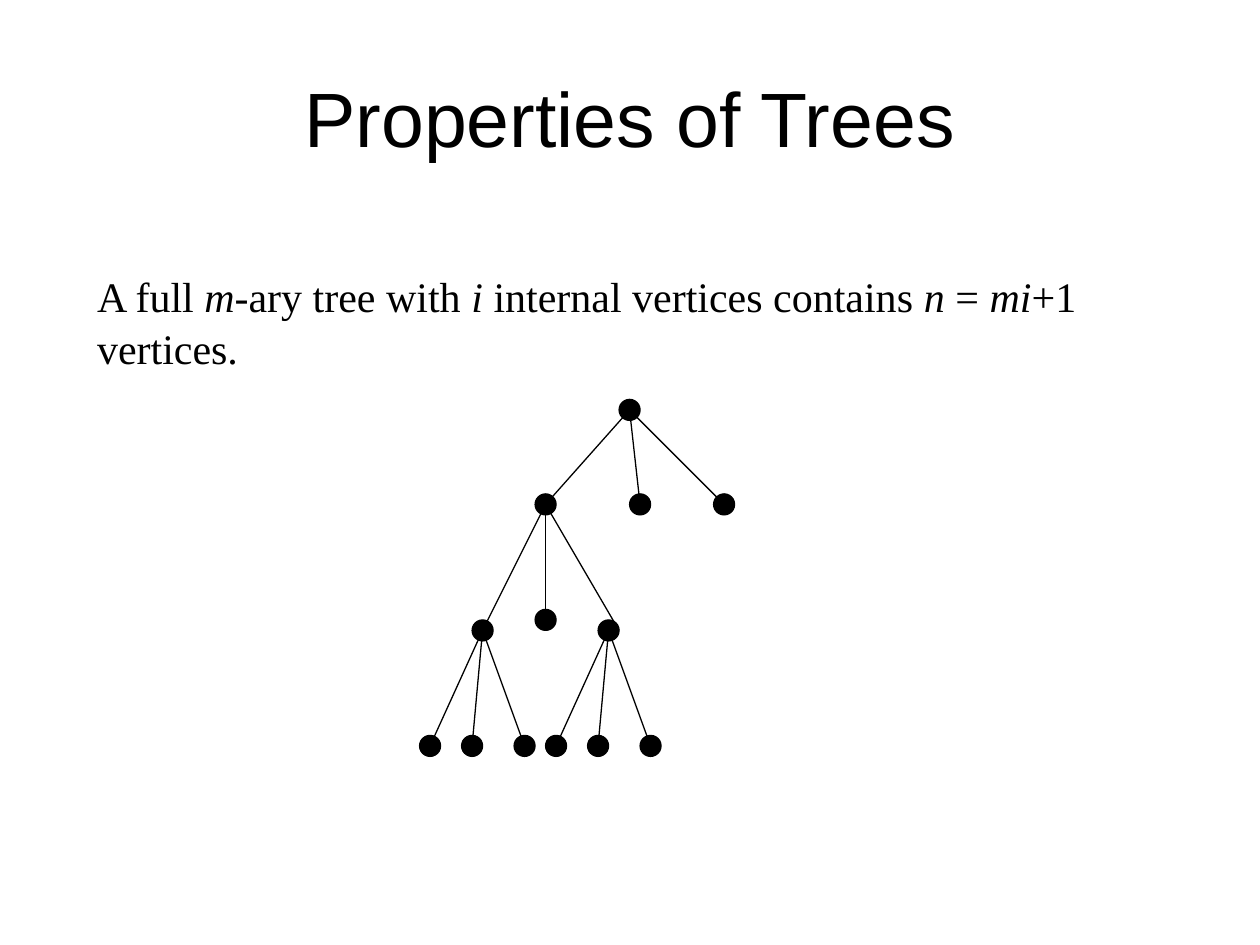
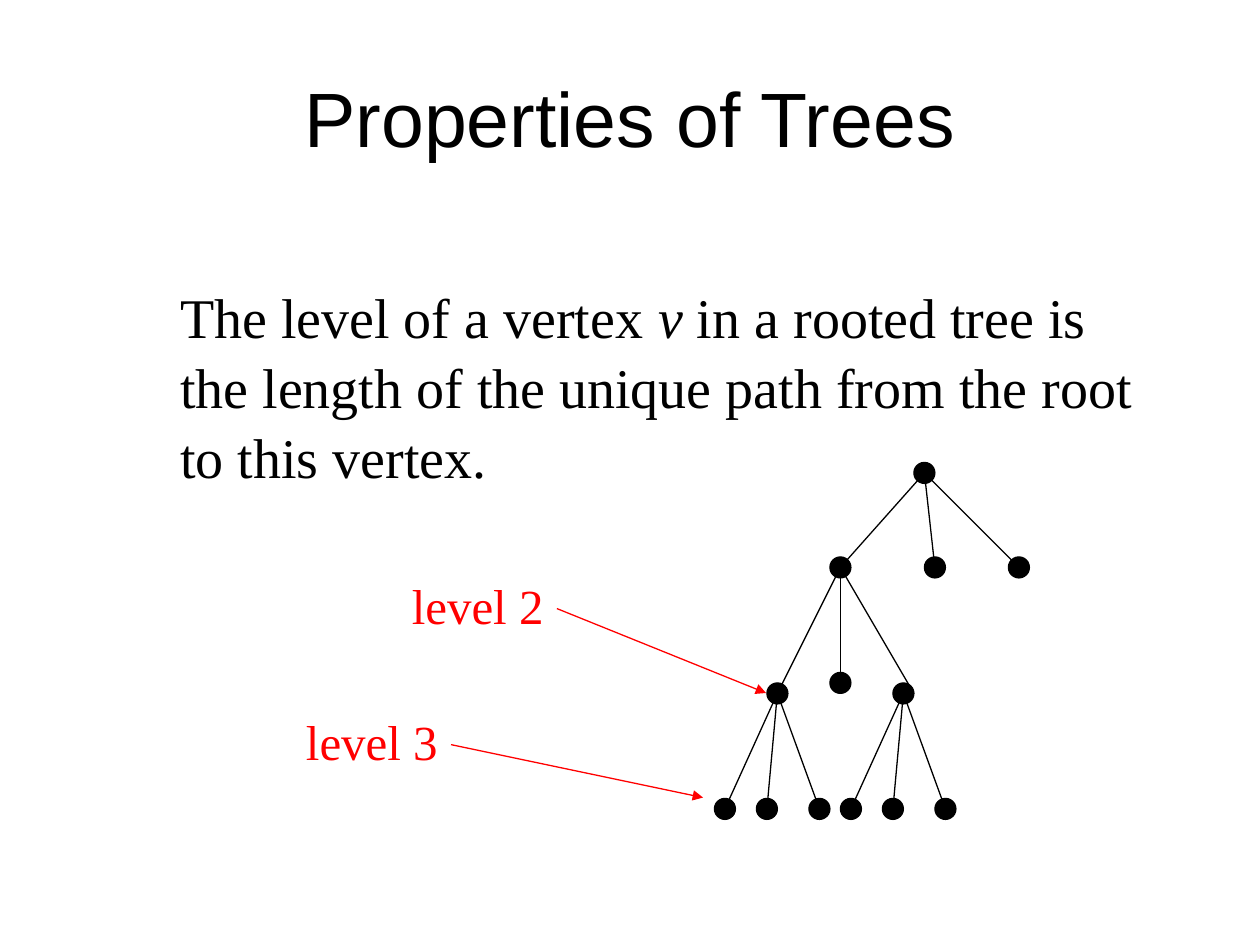
from pptx import Presentation
from pptx.dml.color import RGBColor
from pptx.enum import shapes, text
from pptx.oxml import ns, xmlchemy
from pptx.util import Inches, Pt

BLACK, RED = "000000", "FF0000"
TITLE_FONT, TEXT_FONT = "Arial", "Times New Roman"
TITLE = "Properties of Trees"
TITLE_BOX = (0.5, 0.3, 9, 1.25)

# The tree lies on a grid of twelfths of an inch: (column, row) of each vertex
UNIT = 1 / 12
VERTICES = {
    "root": (20, 1),
    "inner": (12, 10), "leaf b": (21, 10), "leaf c": (29, 10),
    "left": (6, 22), "leaf e": (12, 21), "right": (18, 22),
    "left 1": (1, 33), "left 2": (5, 33), "left 3": (10, 33),
    "right 1": (13, 33), "right 2": (17, 33), "right 3": (22, 33),
}
CHILDREN = {
    "root": ("inner", "leaf b", "leaf c"),
    "inner": ("left", "leaf e", "right"),
    "left": ("left 1", "left 2", "left 3"),
    "right": ("right 1", "right 2", "right 3"),
}
# This edge meets its vertex one column right of the centre
EDGE_SHIFT = {"right": 1}


def colour(hex_code):
    return RGBColor.from_string(hex_code)


def place(shape, box):
    shape.left, shape.top, shape.width, shape.height = map(Inches, box)


def write(shape, spans, size, font=TEXT_FONT, ink=BLACK, spacing=1.04,
          align=text.PP_ALIGN.LEFT, anchor=text.MSO_ANCHOR.TOP):
    """Fill a shape with one paragraph of (words, italic) spans."""
    frame = shape.text_frame
    frame.word_wrap = True
    frame.auto_size = text.MSO_AUTO_SIZE.NONE
    frame.vertical_anchor = anchor
    para = frame.paragraphs[0]
    para.alignment = align
    para.space_before = Pt(0)
    para.line_spacing = spacing
    for words, italic in spans:
        span = para.add_run()
        span.text = words
        span.font.name = font
        span.font.size = Pt(size)
        span.font.italic = italic
        span.font.color.rgb = colour(ink)
    return para


def add_line(parent, start, end, ink=BLACK, arrow=False):
    line = parent.add_connector(shapes.MSO_CONNECTOR.STRAIGHT,
                                *map(Inches, (*start, *end)))
    line.line.color.rgb = colour(ink)
    line.line.width = Pt(0.75)
    properties = line._element.spPr
    if arrow:
        head = xmlchemy.OxmlElement("a:tailEnd")
        head.set("type", "triangle")
        properties.find(ns.qn("a:ln")).append(head)
    properties.append(xmlchemy.OxmlElement("a:effectLst"))


def add_page(deck, spans, size, box):
    """Slide with the shared title and one unbulleted statement."""
    page = deck.slides.add_slide(deck.slide_layouts[1])
    place(page.shapes.title, TITLE_BOX)
    write(page.shapes.title, [(TITLE, False)], 44, TITLE_FONT, spacing=1,
          align=text.PP_ALIGN.CENTER, anchor=text.MSO_ANCHOR.MIDDLE)
    body = page.placeholders[1]
    place(body, box)
    para = write(body, spans, size)
    properties = para._p.get_or_add_pPr()
    properties.set("marL", "0")
    properties.set("indent", "0")
    properties.append(xmlchemy.OxmlElement("a:buNone"))
    return page


def add_tree(page, left, top):
    """Ternary tree whose grid starts at the given corner."""
    tree = page.shapes.add_group_shape().shapes

    def point(column, row):
        return left + column * UNIT, top + row * UNIT

    # Edges
    for parent, children in CHILDREN.items():
        for child in children:
            column, row = VERTICES[child]
            add_line(tree, point(*VERTICES[parent]),
                     point(column + EDGE_SHIFT.get(child, 0), row))
    # Vertices
    for column, row in VERTICES.values():
        corner = point(column - 1, row - 1)
        vertex = tree.add_shape(shapes.MSO_SHAPE.OVAL,
                                *map(Inches, (*corner, 2 * UNIT, 2 * UNIT)))
        vertex.shadow.inherit = False
        vertex.fill.solid()
        vertex.fill.fore_color.rgb = colour(BLACK)
        vertex.line.color.rgb = colour(BLACK)
        vertex.line.width = Pt(0.75)


def add_level(page, words, box, target):
    """Red label with an arrow to its level of the tree."""
    label = page.shapes.add_textbox(*map(Inches, box))
    write(label, [(words, False)], 28, ink=RED)
    add_line(page.shapes, (box[0] + 1.25, box[1] + 0.33), target, RED, arrow=True)


def main():
    deck = Presentation()
    deck.slide_width, deck.slide_height = Inches(10), Inches(7.5)

    # Number of vertices
    count_page = add_page(deck, [
        ("A full ", False), ("m", True), ("-ary tree with ", False), ("i", True),
        (" internal vertices contains ", False), ("n ", True), ("= ", False),
        ("mi", True), ("+1 vertices.", False)], 24, (0.67, 2.08, 8.75, 0.9))
    add_tree(count_page, 3.33, 3.17)

    # Level of a vertex
    level_page = add_page(deck, [
        ("The level of a vertex ", False), ("v", True),
        (" in a rooted tree is the length of the unique path from the root"
         " to this vertex.", False)], 32, (1.33, 2.17, 7.92, 1.7))
    add_tree(level_page, 5.67, 3.67)
    add_level(level_page, "level 2", (3.17, 4.5, 1.83, 0.57), (6.08, 5.5))
    add_level(level_page, "level 3", (2.33, 5.58, 1.42, 0.57), (5.58, 6.33))

    deck.save("out.pptx")


if __name__ == "__main__":
    main()
